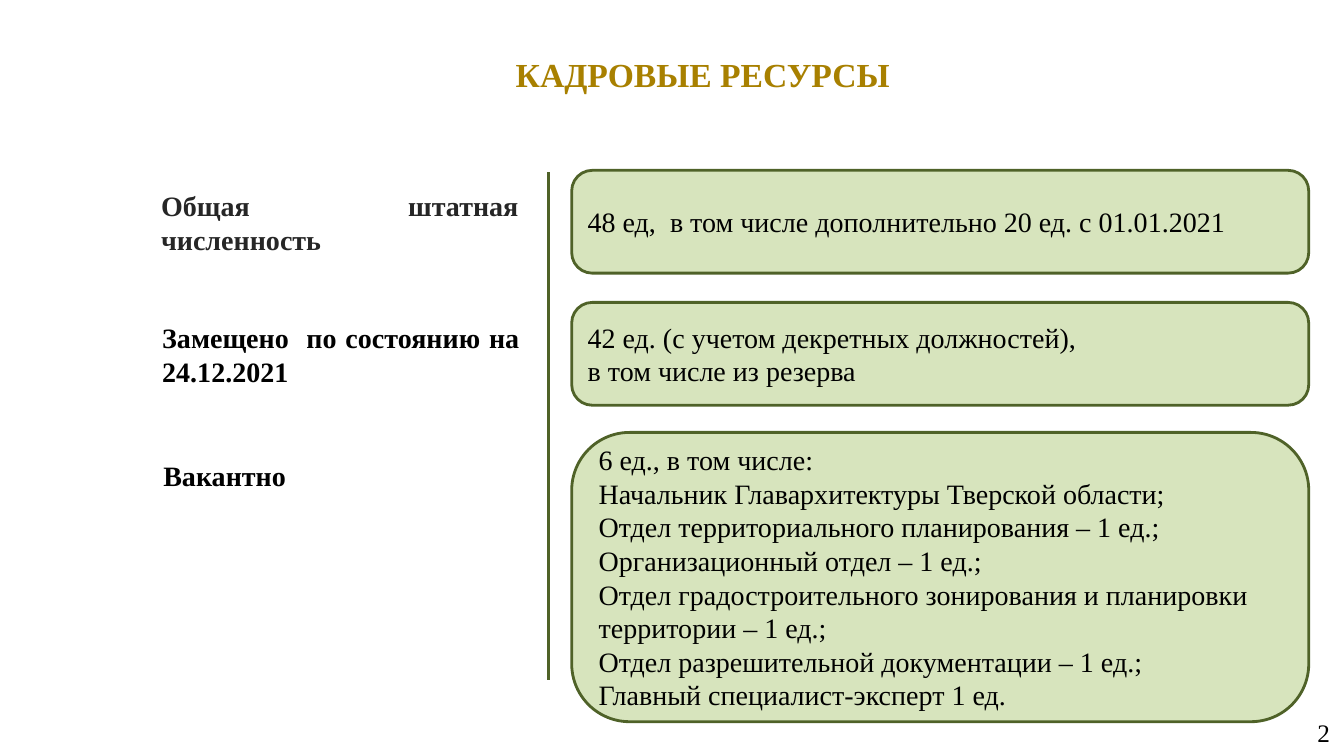
from dataclasses import dataclass

from lxml.etree import SubElement
from pptx import Presentation
from pptx.dml.color import RGBColor as Rgb
from pptx.enum.shapes import MSO_CONNECTOR as Link, MSO_SHAPE as Form
from pptx.enum.text import MSO_ANCHOR as Anchor, MSO_AUTO_SIZE as Fit, PP_ALIGN as Align
from pptx.oxml.ns import qn
from pptx.util import Inches, Pt


@dataclass(frozen=True)
class Theme:
    font: str = "Times New Roman"
    gold: str = "A88000"
    gray: str = "262626"
    ink: str = "000000"
    fill: str = "D7E4BD"
    edge: str = "4F6228"
    head: int = 24
    body: int = 20
    note: int = 18
    line: int = 2
    curve: float = 0.2


class Deck:
    """Holds the theme and the current slide; lengths are percent of its size."""

    def __init__(self, theme):
        self.theme = theme
        self.prs = Presentation()
        self.prs.slide_width, self.prs.slide_height = Inches(13.33), Inches(7.5)
        self.slide = self.prs.slides.add_slide(self.prs.slide_layouts[5])

    def place(self, x, y, *size):
        wide, high = self.prs.slide_width / 100, self.prs.slide_height / 100
        return [round(n * unit) for n, unit in zip((x, y, *size), (wide, high) * 2)]

    def letter(self, shape, text, size, color, bold=False, align=Align.LEFT,
               anchor=Anchor.TOP, pad=(0.1, 0.05)):
        frame = shape.text_frame
        frame.text = text
        frame.word_wrap, frame.auto_size = True, Fit.NONE
        frame.vertical_anchor = anchor
        frame.margin_left = frame.margin_right = Inches(pad[0])
        frame.margin_top = frame.margin_bottom = Inches(pad[1])
        for para in frame.paragraphs:
            para.alignment = align
            for run in para.runs:
                font = run.font
                font.name, font.size, font.bold = self.theme.font, Pt(size), bold
                font.color.rgb = Rgb.from_string(color)

    def title(self, text, *area):
        shape = self.slide.shapes.title
        shape.left, shape.top, shape.width, shape.height = self.place(*area)
        self.letter(shape, text, self.theme.head, self.theme.gold, True,
                    Align.CENTER, pad=(0.13, 0.07))

    def label(self, text, color, *area):
        shape = self.slide.shapes.add_textbox(*self.place(*area))
        self.letter(shape, text, self.theme.body, color, True, Align.JUSTIFY)

    def number(self, text, *area):
        shape = self.slide.shapes.add_textbox(*self.place(*area))
        self.letter(shape, text, self.theme.note, self.theme.ink, False,
                    Align.RIGHT, Anchor.MIDDLE, (0.13, 0.07))

    def stroke(self, shape):
        shape.line.color.rgb = Rgb.from_string(self.theme.edge)
        shape.line.width = Pt(self.theme.line)

    def card(self, text, *area):
        shape = self.slide.shapes.add_shape(Form.ROUNDED_RECTANGLE, *self.place(*area))
        shape.adjustments[0] = self.theme.curve
        shape.shadow.inherit = False
        shape.fill.solid()
        shape.fill.fore_color.rgb = Rgb.from_string(self.theme.fill)
        self.stroke(shape)
        self.letter(shape, text, self.theme.body, self.theme.ink, anchor=Anchor.MIDDLE)

    def rule(self, x, top, end):
        line = self.slide.shapes.add_connector(
            Link.STRAIGHT, *self.place(x, top), *self.place(x, end))
        self.stroke(line)
        SubElement(line._element.spPr, qn("a:effectLst"))


def main():
    theme = Theme()
    deck = Deck(theme)

    # Heading and divider
    deck.title("КАДРОВЫЕ РЕСУРСЫ", 12.38, 6.13, 79.82, 7.07)
    deck.rule(40.81, 22.8, 90)

    # Rows: label, its colour, top and height; card text, top and height
    rows = [
        ("Общая штатная численность", theme.gray, 24.27, 10.2,
         "48 ед,  в том числе дополнительно 20 ед. с 01.01.2021", 22.53, 13.6),
        ("Замещено  по состоянию на 24.12.2021", theme.ink, 41.8, 10.2,
         "42 ед. (с учетом декретных должностей),\nв том числе из резерва", 40, 13.6),
        ("Вакантно", theme.ink, 60, 5.73,
         "6 ед., в том числе:\n"
         "Начальник Главархитектуры Тверской области;\n"
         "Отдел территориального планирования – 1 ед.;\n"
         "Организационный отдел – 1 ед.;\n"
         "Отдел градостроительного зонирования и планировки территории – 1 ед.;\n"
         "Отдел разрешительной документации – 1 ед.;\n"
         "Главный специалист-эксперт 1 ед.", 57.2, 38.27),
    ]
    for i, (name, color, top, high, text, y, tall) in enumerate(rows):
        deck.label(name, color, 11.25 + 0.08 * i, top, 28.06, high)
        deck.card(text, 42.54, y, 54.84, tall)

    # Page number
    deck.number("2", 76.67, 94.27, 23.26, 5.2)
    deck.prs.save("out.pptx")


if __name__ == "__main__":
    main()
